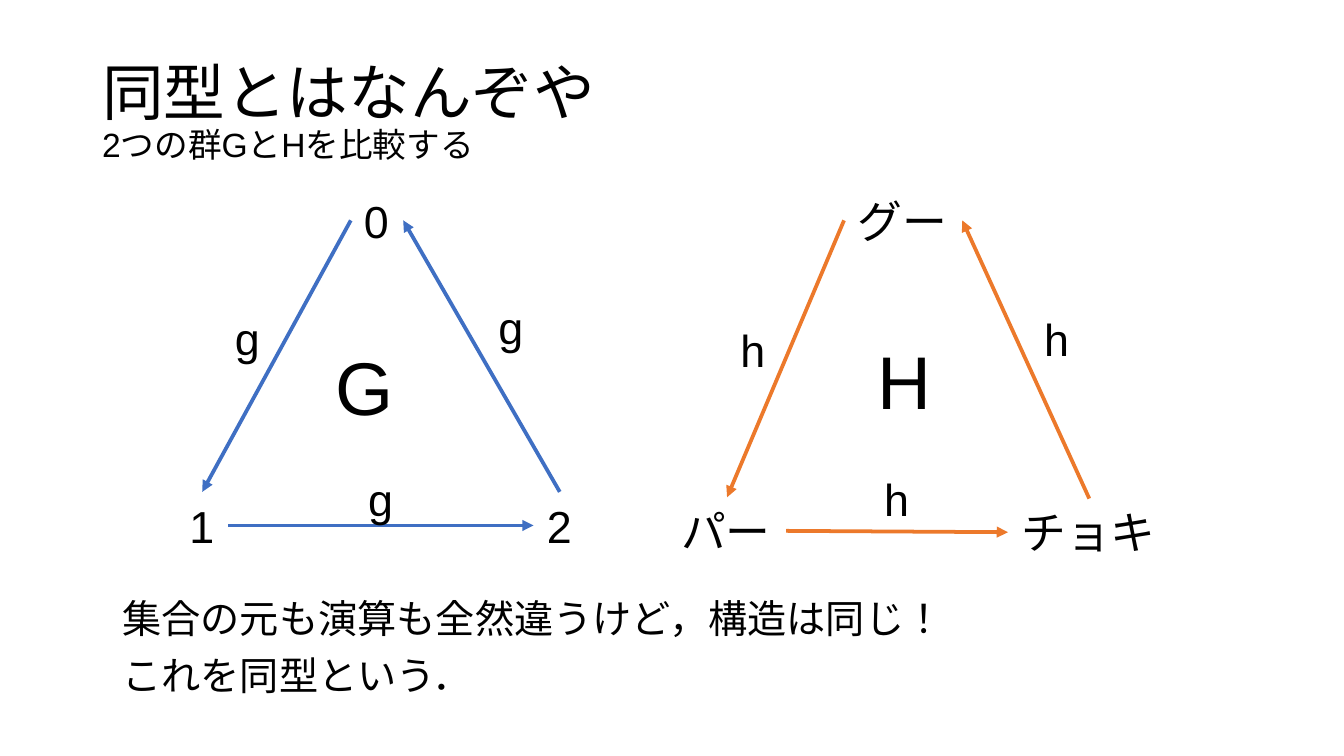
from dataclasses import dataclass

from pptx import Presentation
from pptx.dml.color import RGBColor
from pptx.enum.lang import MSO_LANGUAGE_ID as Language
from pptx.enum.shapes import MSO_CONNECTOR as Connector
from pptx.enum.text import MSO_ANCHOR as Anchor
from pptx.enum.text import MSO_AUTO_SIZE as AutoSize
from pptx.enum.text import PP_ALIGN as Align
from pptx.oxml.ns import qn
from pptx.shapes.autoshape import Shape
from pptx.slide import Slide
from pptx.text.text import TextFrame, _Paragraph as Paragraph
from pptx.util import Inches, Pt
from lxml.etree import SubElement

COLORS = {"text": "000000", "G": "3F6FC3", "H": "EC792B"}
FONT = "Arial"
TOP, LEFT, BOTTOM, RIGHT = range(4)


@dataclass(frozen=True)
class Label:
    text: str
    left: float
    top: float
    width: float = 0.39
    height: float = 0.5
    size: int = 24


@dataclass(frozen=True)
class Group:
    """A cyclic group: its name, three elements and the operation on each arrow."""
    name: Label
    elements: tuple[Label, Label, Label]
    operations: tuple[Label, Label, Label]


GROUPS = (
    Group(
        Label("G", 2.4, 2.49, 0.64, 0.77, 40),
        (Label("0", 2.61, 1.39), Label("1", 1.31, 3.66), Label("2", 3.97, 3.66)),
        (Label("g", 1.65, 2.26), Label("g", 2.64, 3.46), Label("g", 3.61, 2.18)),
    ),
    Group(
        Label("H", 6.43, 2.44, 0.61, 0.77, 40),
        (Label("グー", 6.28, 1.39, 0.88), Label("パー", 4.97, 3.7, 0.88),
         Label("チョキ", 7.5, 3.71, 1.21)),
        (Label("h", 5.41, 2.35), Label("h", 6.48, 3.46), Label("h", 7.67, 2.27)),
    ),
)
# Start element, its side, end element, its side
CYCLE = ((0, LEFT, 1, TOP), (1, RIGHT, 2, LEFT), (2, TOP, 0, RIGHT))


def add_run(paragraph: Paragraph, text: str, size: float) -> None:
    run = paragraph.add_run()
    run.text = text
    run.font.name = FONT
    run.font.size = Pt(size)
    run.font.language_id = Language.JAPANESE
    run.font.color.rgb = RGBColor.from_string(COLORS["text"])


def place_placeholder(shape: Shape, top: float, height: float, anchor: Anchor) -> TextFrame:
    shape.left, shape.top = Inches(0.69), Inches(top)
    shape.width, shape.height = Inches(8.62), Inches(height)
    frame = shape.text_frame
    frame.auto_size = AutoSize.NONE
    frame.vertical_anchor = anchor
    frame.margin_left = frame.margin_right = Inches(0.07)
    frame.margin_top = frame.margin_bottom = Inches(0.04)
    return frame


def add_title(slide: Slide) -> None:
    frame = place_placeholder(slide.shapes.title, 0.3, 1.09, Anchor.MIDDLE)
    paragraph = frame.paragraphs[0]
    paragraph.alignment = Align.LEFT
    paragraph.line_spacing = 0.9
    add_run(paragraph, "同型とはなんぞや", 33)
    paragraph.add_line_break()
    add_run(paragraph, "2つの群GとHを比較する", 18)


def add_conclusion(slide: Slide) -> None:
    frame = place_placeholder(slide.placeholders[1], 4.42, 0.79, Anchor.TOP)
    lines = ("集合の元も演算も全然違うけど，構造は同じ！", "これを同型という．")
    for index, line in enumerate(lines):
        paragraph = frame.add_paragraph() if index else frame.paragraphs[0]
        paragraph.line_spacing = 0.9
        paragraph.space_before = Pt(8 if index else 0)
        properties = paragraph._p.get_or_add_pPr()
        properties.set("marL", str(Inches(0.15)))
        properties.set("indent", "0")
        SubElement(properties, qn("a:buNone"))
        add_run(paragraph, line, 21)


def add_label(slide: Slide, label: Label) -> Shape:
    box = slide.shapes.add_textbox(
        Inches(label.left), Inches(label.top), Inches(label.width), Inches(label.height))
    frame = box.text_frame
    frame.word_wrap = False
    frame.auto_size = AutoSize.SHAPE_TO_FIT_TEXT
    add_run(frame.paragraphs[0], label.text, label.size)
    return box


def add_arrow(slide: Slide, start: Shape, start_side: int,
              end: Shape, end_side: int, color: str) -> None:
    arrow = slide.shapes.add_connector(Connector.STRAIGHT, 0, 0, 0, 0)
    arrow.begin_connect(start, start_side)
    arrow.end_connect(end, end_side)
    arrow.line.color.rgb = RGBColor.from_string(color)
    arrow.line.width = Pt(2)
    SubElement(arrow.line._get_or_add_ln(), qn("a:tailEnd"), type="triangle")
    SubElement(arrow._element.spPr, qn("a:effectLst"))


def add_group(slide: Slide, group: Group) -> None:
    boxes = [add_label(slide, element) for element in group.elements]
    for start, start_side, end, end_side in CYCLE:
        add_arrow(slide, boxes[start], start_side, boxes[end], end_side,
                  COLORS[group.name.text])
    for label in (*group.operations, group.name):
        add_label(slide, label)


def main() -> None:
    presentation = Presentation()
    presentation.slide_width = Inches(10)
    presentation.slide_height = presentation.slide_width * 9 // 16
    slide = presentation.slides.add_slide(presentation.slide_layouts[1])
    add_title(slide)
    add_conclusion(slide)
    for group in GROUPS:
        add_group(slide, group)
    presentation.save("out.pptx")


if __name__ == "__main__":
    main()
